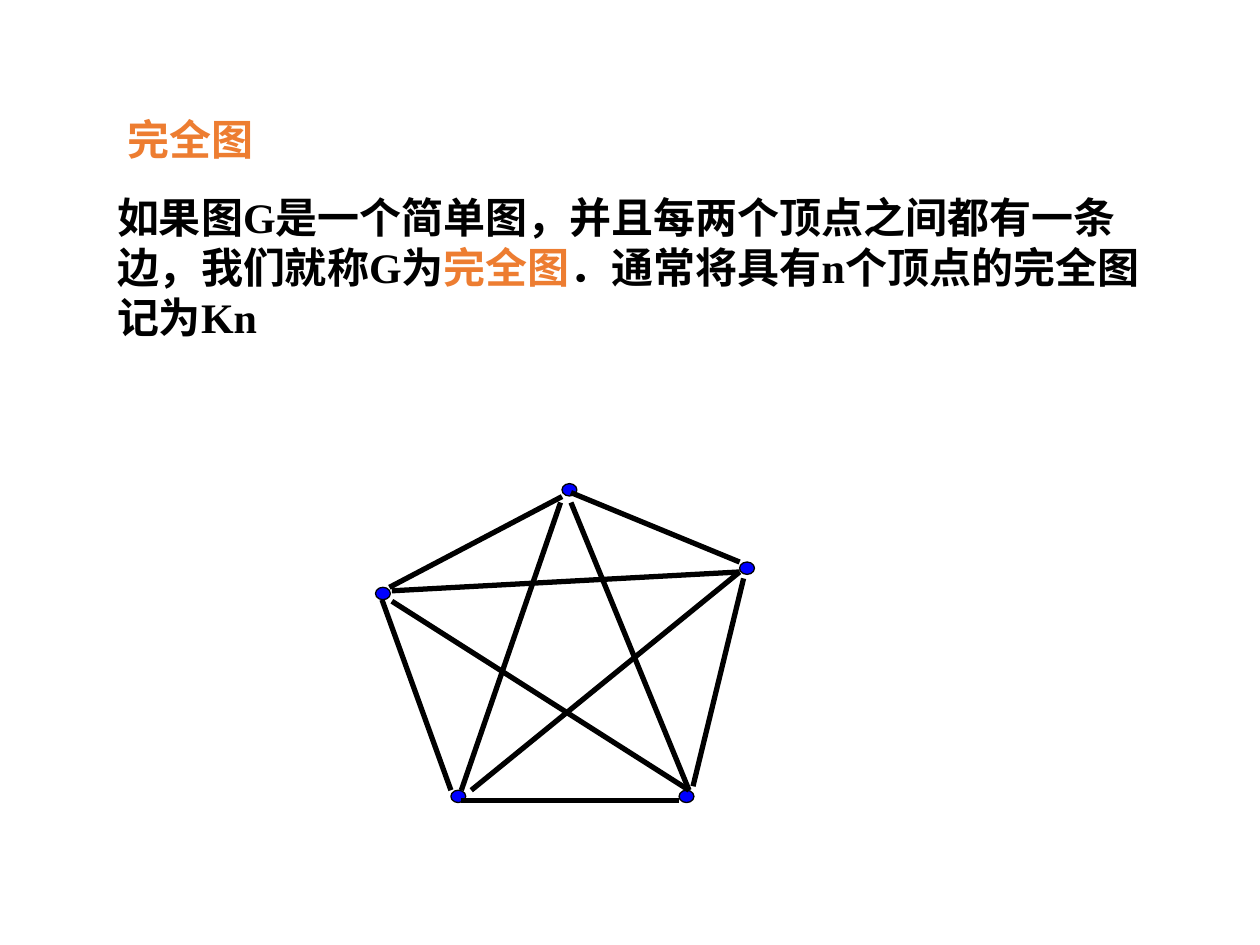
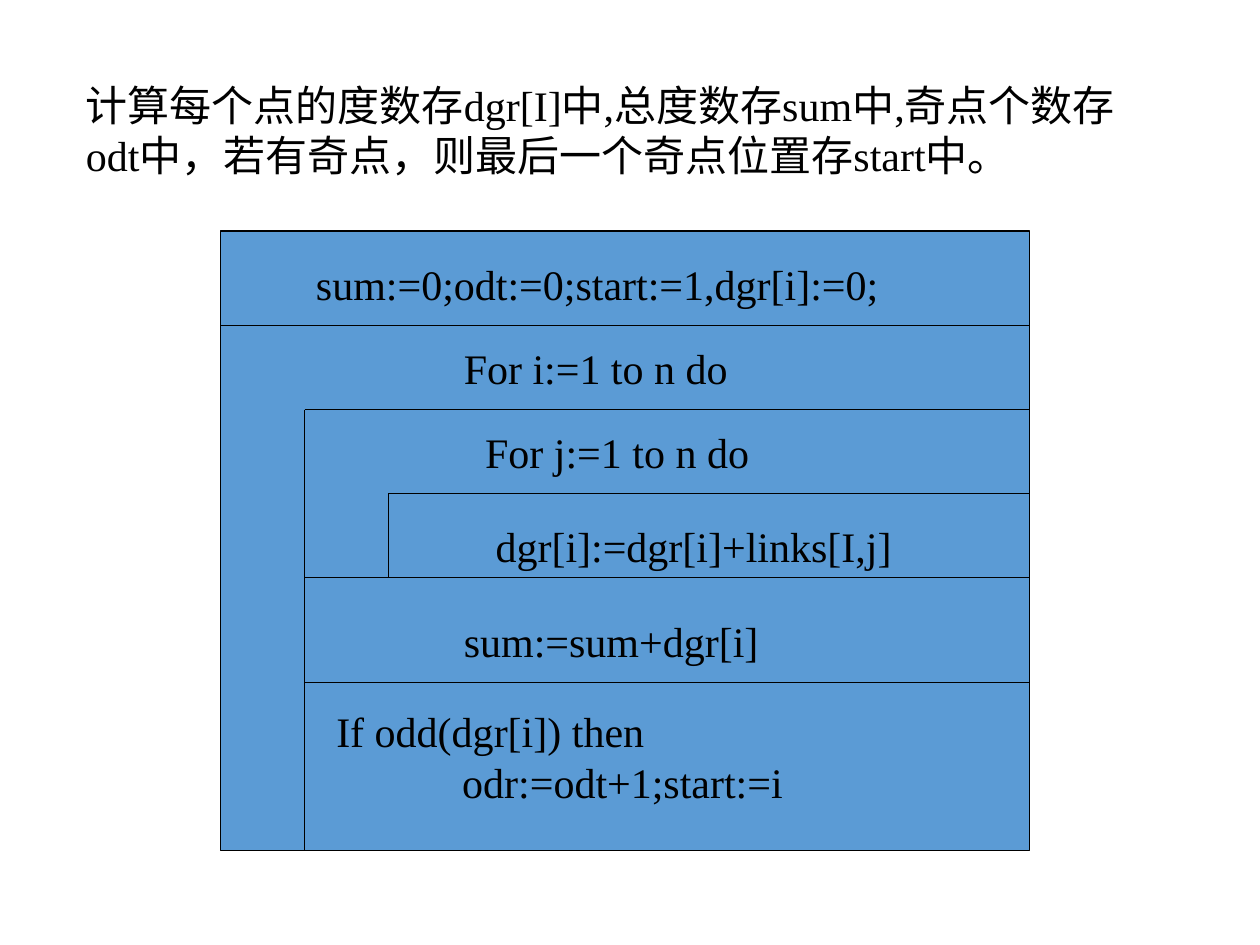
from lxml.etree import SubElement
from pptx import Presentation
from pptx.dml.color import RGBColor
from pptx.enum.shapes import MSO_CONNECTOR, MSO_SHAPE
from pptx.enum.text import MSO_ANCHOR, MSO_AUTO_SIZE, PP_ALIGN
from pptx.oxml.ns import qn
from pptx.util import Cm, Pt

BLACK = RGBColor(0x00, 0x00, 0x00)
ORANGE = RGBColor(0xED, 0x7D, 0x31)
VERTEX_BLUE = RGBColor(0x00, 0x00, 0xFF)
CHART_BLUE = RGBColor(0x5B, 0x9B, 0xD5)
FONT = "Times New Roman"
TITLE_ONLY, BLANK = 5, 6

# Top left corners of the graph's vertices, in cm
VERTICES = [(11.33, 9.75), (14.91, 11.33), (13.69, 15.93), (9.09, 15.93), (7.57, 11.84)]
# Start and end of each edge, in cm; edges stop at the rims of the vertices
EDGES = [
    (7.85, 11.84, 11.33, 10.01),
    (9.09, 15.93, 7.7, 12.09),
    (14.99, 11.66, 13.97, 15.85),
    (14.91, 11.33, 11.51, 9.93),
    (11.3, 10.13, 9.3, 15.93),
    (13.69, 16.13, 9.3, 16.13),
    (11.51, 10.13, 13.89, 15.93),
    (7.9, 12.12, 13.89, 15.93),
    (9.5, 15.93, 14.91, 11.53),
    (7.9, 11.91, 14.91, 11.53),
]

# Nassi-Shneiderman chart: indent levels and row borders, in cm
LEFT, RIGHT, INDENT = 4.45, 20.75, 1.69
OUTER, INNER = LEFT + INDENT, LEFT + 2 * INDENT
TOP, FOR_I, BODY_I, BODY_J, SUM, IF_ODD, BOTTOM = 4.66, 6.56, 8.26, 9.95, 11.64, 13.76, 17.14
BORDERS = [
    (LEFT, FOR_I, RIGHT, FOR_I),
    (OUTER, BODY_I, RIGHT, BODY_I),
    (OUTER, BODY_I, OUTER, BOTTOM),
    (INNER, BODY_J, RIGHT, BODY_J),
    (INNER, BODY_J, INNER, SUM),
    (OUTER, SUM, RIGHT, SUM),
    (OUTER, IF_ODD, RIGHT, IF_ODD),
]
# Left, top, width and lines; widths leave a little room so that no line wraps
STATEMENTS = [
    (6.12, 5.08, 12.3, ["sum:=0;odt:=0;start:=1,dgr[i]:=0;"]),
    (9.1, 6.77, 6.3, ["For i:=1 to n do"]),
    (9.53, 8.47, 6.3, ["For j:=1 to n do"]),
    (9.74, 10.37, 9, ["dgr[i]:=dgr[i]+links[I,j]"]),
    (9.1, 12.28, 7, ["sum:=sum+dgr[i]"]),
    (6.53, 14.1, 10, ["If odd(dgr[i]) then", "            odr:=odt+1;start:=i"]),
]


def write(sp, paragraphs, color=BLACK, bold=False):
    """Fill sp; a paragraph is a string or a list of (text, color) runs."""
    tf = sp.text_frame
    tf.word_wrap = True
    tf.auto_size = MSO_AUTO_SIZE.SHAPE_TO_FIT_TEXT
    tf.vertical_anchor = MSO_ANCHOR.TOP
    for i, runs in enumerate(paragraphs):
        p = tf.paragraphs[0] if i == 0 else tf.add_paragraph()
        p.alignment = PP_ALIGN.LEFT
        for text, run_color in [(runs, color)] if isinstance(runs, str) else runs:
            r = p.add_run()
            r.text = text
            r.font.name, r.font.size, r.font.bold = FONT, Pt(24), bold
            r.font.color.rgb = run_color


def add_text(s, x, y, w, h, paragraphs, **style):
    write(s.shapes.add_textbox(Cm(x), Cm(y), Cm(w), Cm(h)), paragraphs, **style)


def set_title(s, x, y, w, h, text, **style):
    sp = s.shapes.title
    sp.left, sp.top, sp.width, sp.height = Cm(x), Cm(y), Cm(w), Cm(h)
    write(sp, [text], **style)


def add_box(s, kind, x, y, w, h, fill):
    sp = s.shapes.add_shape(kind, Cm(x), Cm(y), Cm(w), Cm(h))
    sp.shadow.inherit = False
    sp.fill.solid()
    sp.fill.fore_color.rgb = fill
    sp.line.color.rgb = BLACK
    sp.line.width = Pt(0.75)


def add_line(s, x1, y1, x2, y2, width):
    line = s.shapes.add_connector(MSO_CONNECTOR.STRAIGHT, Cm(x1), Cm(y1), Cm(x2), Cm(y2))
    line.line.color.rgb = BLACK
    line.line.width = Pt(width)
    SubElement(line._element.spPr, qn("a:effectLst"))


def complete_graph_slide(prs):
    s = prs.slides.add_slide(prs.slide_layouts[TITLE_ONLY])
    set_title(s, 2.31, 2.16, 3.5, 1.27, "完全图", color=ORANGE, bold=True)
    definition = [
        ("如果图G是一个简单图，并且每两个顶点之间都有一条边，我们就称G为", BLACK),
        ("完全图", ORANGE),
        ("．通常将具有n个顶点的完全图记为Kn", BLACK),
    ]
    add_text(s, 2.11, 3.73, 21.21, 3.3, [definition], bold=True)
    for x, y in VERTICES:
        add_box(s, MSO_SHAPE.OVAL, x, y, 0.3, 0.25, VERTEX_BLUE)
    for edge in EDGES:
        add_line(s, *edge, width=3)


def degree_count_slide(prs):
    s = prs.slides.add_slide(prs.slide_layouts[BLANK])
    add_text(s, 1.48, 1.48, 22.23, 2.29, [
        "计算每个点的度数存dgr[I]中,总度数存sum中,奇点个数存odt中，"
        "若有奇点，则最后一个奇点位置存start中。"])
    add_box(s, MSO_SHAPE.RECTANGLE, LEFT, TOP, RIGHT - LEFT, BOTTOM - TOP, CHART_BLUE)
    for border in BORDERS:
        add_line(s, *border, width=0.75)
    for x, y, w, lines in STATEMENTS:
        add_text(s, x, y, w, 0.25 + 1.02 * len(lines), lines)


def main():
    prs = Presentation()
    prs.slide_width, prs.slide_height = Cm(25.4), Cm(19.05)
    complete_graph_slide(prs)
    degree_count_slide(prs)
    prs.save("out.pptx")


if __name__ == "__main__":
    main()
